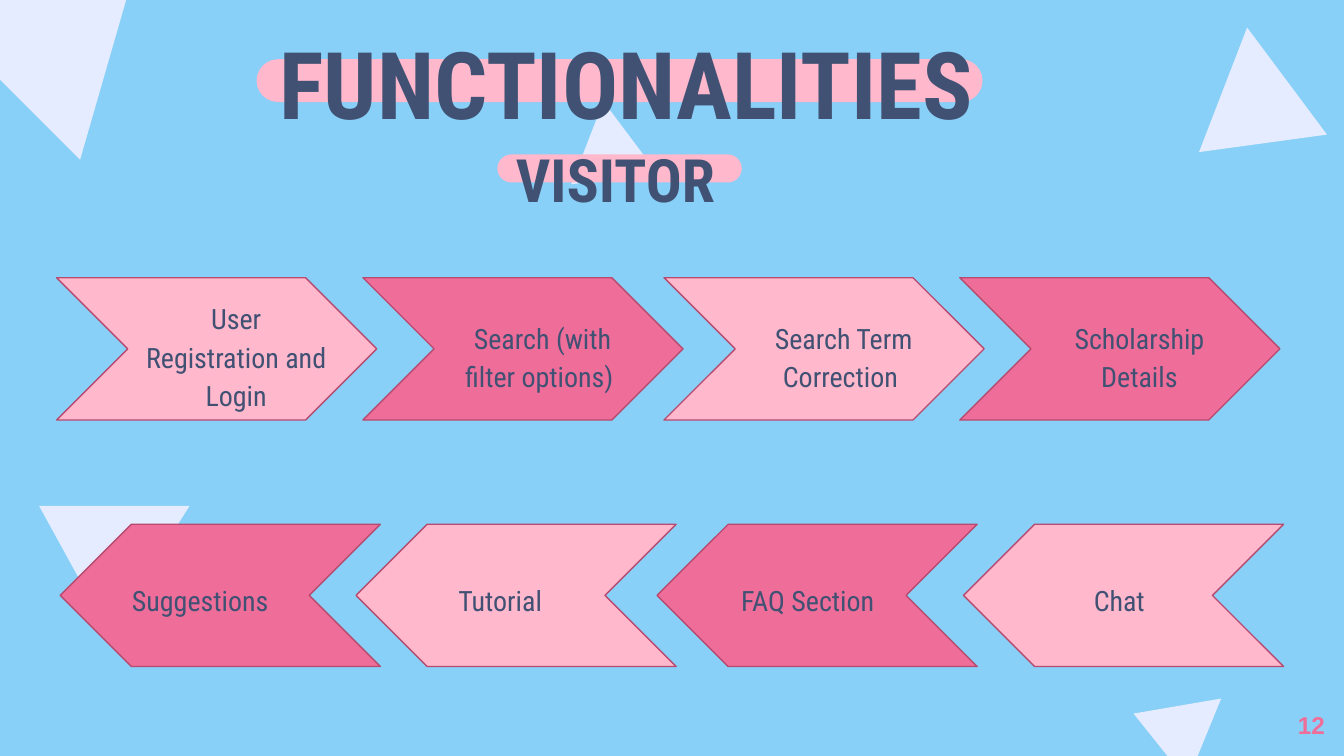
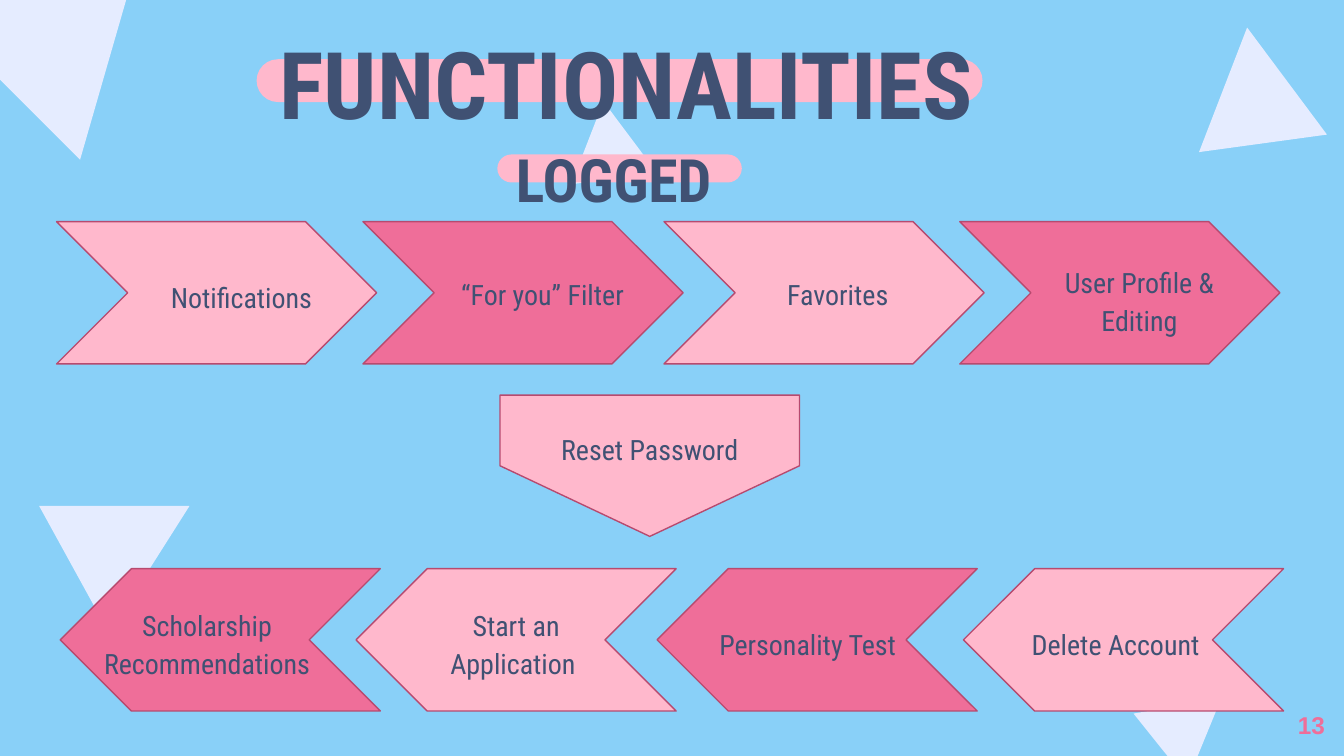
import collections
import dataclasses

import pptx
import pptx.dml.color
import pptx.enum.shapes
import pptx.enum.text
import pptx.util

Cm = pptx.util.Cm
Kind = pptx.enum.shapes.MSO_SHAPE
Align = pptx.enum.text.PP_ALIGN
Fit = pptx.enum.text.MSO_AUTO_SIZE

Box = collections.namedtuple("Box", "left top width height")
Label = collections.namedtuple("Label", "text lines shift drop width",
                               defaults=[0, 0, 3.96])
Row = collections.namedtuple("Row", "top labels flip")
Topic = collections.namedtuple("Topic", "role number rows")


@dataclasses.dataclass(frozen=True)
class Theme:
    sky: str = "89D0F8"
    mist: str = "E5ECFF"
    pale: str = "FFB8CC"
    deep: str = "EF6E99"
    edge: str = "B74A6F"
    ink: str = "405173"
    face: str = "Roboto Condensed"
    plain: str = "Arial"
    title: int = 50
    role: int = 32
    label: int = 15
    page: int = 13
    stroke: float = 0.75
    inset: float = 0.25


THEME = Theme()
PAGE = Box(0, 0, 25.4, 14.29)
HEAD = Box(4.85, 1.12, 13.72, 2.34)
DROP = Box(9.45, 7.47, 5.66, 2.67)
ROW_LEFT, ROW_WIDTH = 1.07, 23.19
ARROW_WIDTH, ARROW_HEIGHT = 6.05, 2.69
STARTS = (0, 5.79, 11.48, 17.07)
LINE, PADDING = 0.75, 0.39

TRIANGLES = (
    (Box(21.69, 12.93, 1.63, 1.47), 51.3),
    (Box(1.12, 8.92, 2.74, 2.49), 61.2),
    (Box(-1.24, -2.79, 5.16, 4.67), 45),
    (Box(22.5, 0.51, 2.44, 2.21), 352.2),
    (Box(10.69, 1.91, 1.63, 1.47), 352.2),
)

VISITOR = Topic("VISITOR", 12, (
    Row(5.25, (
        Label("User Registration and Login", 3, 0.37, 0.08),
        Label("Search (with filter options) ", 2, 0.37, 0.08),
        Label("Search Term Correction ", 2, 0.37, 0.08),
        Label("Scholarship Details", 2, 0.37, 0.08),
    ), False),
    Row(9.91, (
        Label("Chat", 1, -0.08),
        Label("FAQ Section", 1, -0.18),
        Label("Tutorial", 1, -0.3),
        Label("Suggestions", 1, -0.38),
    ), True),
))
LOGGED = Topic("LOGGED", 13, (
    Row(4.19, (
        Label("Notifications", 1, 0.47),
        Label("“For you” Filter", 1, 0.37, -0.06),
        Label("Favorites", 1, 0.26, -0.06),
        Label("User Profile & Editing", 2, 0.37, 0.08),
    ), False),
    Row(10.75, (
        Label("Delete Account", 1, -0.15),
        Label("Personality Test", 1, -0.18),
        Label("Start an Application ", 2),
        Label("Scholarship Recommendations", 2, -0.25, width=4.62),
    ), True),
))
RESET = Label("Reset Password", 1, drop=-0.4)


def paint(name):
    return pptx.dml.color.RGBColor.from_string(name)


def fill_with(fill, color):
    fill.solid()
    fill.fore_color.rgb = paint(color)


def within(box, left, top, width, height):
    return Box(box.left + left, box.top + top, width, height)


def center(box, width, height, shift=0, drop=0):
    left = (box.width - width) / 2 + shift
    top = (box.height - height) / 2 + drop
    return within(box, left, top, width, height)


def add_text(shapes, box, text, size, color=THEME.ink, face=THEME.face,
             bold=False, align=Align.LEFT, spacing=None, after=0, grow=False):
    frame = shapes.add_textbox(*map(Cm, box)).text_frame
    frame.word_wrap = True
    frame.auto_size = Fit.SHAPE_TO_FIT_TEXT if grow else Fit.NONE
    frame.margin_left = frame.margin_right = Cm(THEME.inset)
    frame.margin_top = frame.margin_bottom = Cm(THEME.inset)
    para = frame.paragraphs[0]
    para.alignment = align
    para.line_spacing = spacing
    para.space_after = pptx.util.Pt(after)
    run = para.add_run()
    run.text = text
    run.font.name = face
    run.font.size = pptx.util.Pt(size)
    run.font.bold = bold
    run.font.color.rgb = paint(color)


def add_form(shapes, kind, box, color, edge=None, turn=0, flip=False):
    form = shapes.add_shape(kind, *map(Cm, box))
    form.shadow.inherit = False
    form.adjustments[0] = 0.5
    form.rotation = turn
    fill_with(form.fill, color)
    if edge:
        form.line.color.rgb = paint(edge)
        form.line.width = pptx.util.Pt(THEME.stroke)
    else:
        form.line.fill.background()
    if flip:
        form._element.spPr.get_or_add_xfrm().set("flipH", "1")
    return form


def add_label(shapes, box, label):
    height = PADDING + LINE * label.lines
    area = center(box, label.width, height, label.shift, label.drop)
    add_text(shapes, area, label.text, THEME.label, align=Align.CENTER,
             spacing=1.15, after=6, grow=True)


def set_master(master, slide):
    fill_with(master.background.fill, THEME.sky)
    for box, turn in TRIANGLES:
        form = add_form(slide.shapes, Kind.ISOSCELES_TRIANGLE, box,
                        THEME.mist, turn=turn)
        master.shapes._spTree.append(form._element)


def add_head(slide, box, role):
    shapes = slide.shapes
    bars = (within(box, 4.55, 1.8, 4.62, 0.53),
            within(box, 0, 0, box.width, 0.81))
    for bar in bars:
        add_form(shapes, Kind.ROUNDED_RECTANGLE, bar, THEME.pale)
    add_text(shapes, within(box, 0.18, -0.87, 14.53, 2.39), "FUNCTIONALITIES",
             THEME.title, bold=True)
    add_text(shapes, within(box, 4.65, 1.12, 4.62, 1.88), role, THEME.role,
             bold=True, align=Align.JUSTIFY, spacing=1.15, after=6, grow=True)


def add_row(slide, box, labels, flip):
    colors = (THEME.pale, THEME.deep) * 2
    for start, color, label in zip(STARTS, colors, labels):
        left = box.width - ARROW_WIDTH - start if flip else start
        spot = within(box, left, 0, ARROW_WIDTH, box.height)
        group = slide.shapes.add_group_shape().shapes
        add_form(group, Kind.CHEVRON, spot, color, THEME.edge, flip=flip)
        add_label(group, spot, label)


def add_drop(slide, box, label):
    group = slide.shapes.add_group_shape().shapes
    upright = center(box, box.height, box.width)
    add_form(group, Kind.PENTAGON, upright, THEME.pale, THEME.edge, turn=90)
    add_label(group, box, label)


def add_number(slide, box, number):
    add_text(slide.shapes, within(box, 23.77, 13.18, 1.52, 1.09), str(number),
             THEME.page, color=THEME.deep, face=THEME.plain, bold=True,
             align=Align.RIGHT)


def add_topic(slide, box, topic):
    add_head(slide, within(box, *HEAD), topic.role)
    add_number(slide, box, topic.number)
    for row in topic.rows:
        area = within(box, ROW_LEFT, row.top, ROW_WIDTH, ARROW_HEIGHT)
        add_row(slide, area, row.labels, row.flip)


def main():
    deck = pptx.Presentation()
    deck.slide_width, deck.slide_height = Cm(PAGE.width), Cm(PAGE.height)
    blank = deck.slide_layouts[6]
    guest = deck.slides.add_slide(blank)
    member = deck.slides.add_slide(blank)
    set_master(deck.slide_master, guest)
    add_topic(guest, PAGE, VISITOR)
    add_topic(member, PAGE, LOGGED)
    add_drop(member, within(PAGE, *DROP), RESET)
    deck.save("out.pptx")


if __name__ == "__main__":
    main()
